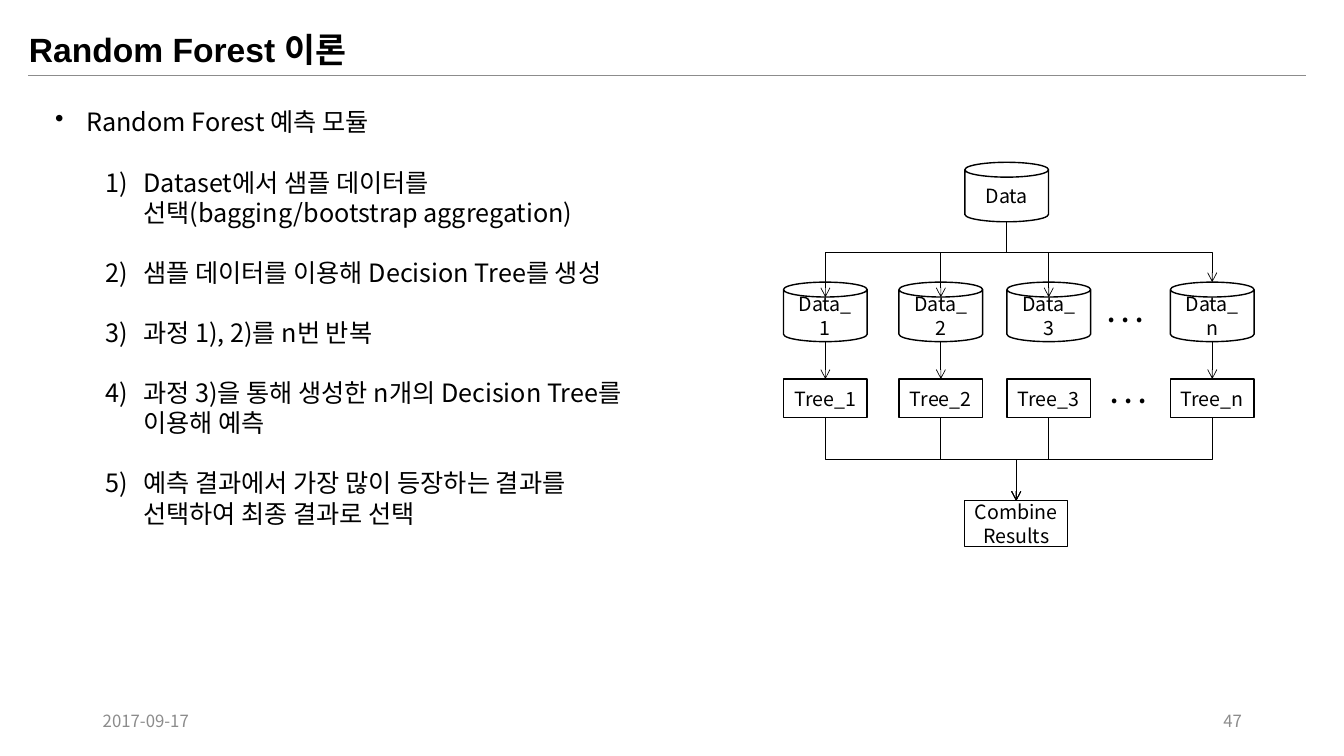
from dataclasses import dataclass

from lxml import etree
from pptx import Presentation
from pptx.dml.color import RGBColor
from pptx.enum.shapes import MSO_CONNECTOR, MSO_SHAPE
from pptx.enum.text import MSO_ANCHOR, PP_ALIGN
from pptx.oxml.ns import qn
from pptx.util import Cm, Pt

CAN, RECT = MSO_SHAPE.CAN, MSO_SHAPE.RECTANGLE
STRAIGHT, ELBOW = MSO_CONNECTOR.STRAIGHT, MSO_CONNECTOR.ELBOW
LEFT, CENTER, RIGHT = PP_ALIGN.LEFT, PP_ALIGN.CENTER, PP_ALIGN.RIGHT
TOP, MIDDLE = MSO_ANCHOR.TOP, MSO_ANCHOR.MIDDLE
SANS = "Noto Sans CJK KR"
BLACK, GRAY = "000000", "8C8C8C"

# Diagram measures in cm
NODE_W, CAN_H, TREE_H = 2.11, 1.5, 0.97
DATA_X, DATA_Y = 25.37, 4.09
CAN_Y, TREE_Y = 7.11, 9.55
LID = 0.38
SPLIT_Y, JOIN_Y = 6.37, 11.57
END_X, END_Y, END_W, END_H = 25.61, 12.62, 2.6, 1.15

STEPS = [
    "Dataset에서 샘플 데이터를 선택(bagging/bootstrap aggregation)",
    "샘플 데이터를 이용해 Decision Tree를 생성",
    "과정 1), 2)를 n번 반복",
    "과정 3)을 통해 생성한 n개의 Decision Tree를 이용해 예측",
    "예측 결과에서 가장 많이 등장하는 결과를 선택하여 최종 결과로 선택",
]


@dataclass
class Branch:
    name: str
    x: float
    arrow: bool = True
    inlet: float = CAN_Y + LID


@dataclass
class Label:
    text: str
    x: float
    y: float
    w: float
    h: float
    size: float
    color: str = BLACK
    font: str = SANS
    bold: bool = False
    align: PP_ALIGN = LEFT
    anchor: MSO_ANCHOR = TOP
    wrap: bool = True


BRANCHES = [
    Branch("1", 20.8),
    Branch("2", 23.71),
    Branch("3", 26.43, arrow=False),
    Branch("n", 30.55, inlet=CAN_Y),
]
LABELS = [
    Label("Random Forest 이론", 0.48, 0.61, 33.3, 1.27, 24, font="Arial", bold=True),
    Label(". . .", 27.66, 7.37, 1.47, 1.02, 18, bold=True, wrap=False),
    Label(". . .", 27.74, 9.4, 1.47, 1.02, 18, bold=True, wrap=False),
    Label("2017-09-17", 2.34, 17.65, 7.62, 1.02, 12, GRAY, anchor=MIDDLE),
    Label("47", 23.93, 17.65, 7.62, 1.02, 12, GRAY, align=RIGHT, anchor=MIDDLE),
]


def rgb(code: str) -> RGBColor:
    return RGBColor.from_string(code)


def style(para, size: float, color: str = BLACK, font: str = SANS, bold: bool = False) -> None:
    face = para.font
    face.size, face.bold, face.name = Pt(size), bold, font
    face.color.rgb = rgb(color)
    base = para._p.pPr.find(qn("a:defRPr"))
    etree.SubElement(base, qn("a:ea")).set("typeface", SANS)


def add_label(slide, item: Label) -> None:
    box = slide.shapes.add_textbox(Cm(item.x), Cm(item.y), Cm(item.w), Cm(item.h))
    frame = box.text_frame
    frame.word_wrap, frame.vertical_anchor = item.wrap, item.anchor
    para = frame.paragraphs[0]
    para.text, para.alignment = item.text, item.align
    style(para, item.size, item.color, item.font, item.bold)


def add_item(para, text: str, mark: str, attrs: dict, left: float, hang: float) -> None:
    """Fill a list paragraph; mark is the bullet element's tag."""
    para.text = text
    para.line_spacing = Pt(21.5)
    props = para._p.get_or_add_pPr()
    props.set("marL", str(Cm(left)))
    props.set("indent", str(-Cm(hang)))
    bullet = etree.SubElement(props, qn(mark))
    for key, value in attrs.items():
        bullet.set(key, value)
    style(para, 18)


def add_list(slide) -> None:
    box = slide.shapes.add_textbox(Cm(1.14), Cm(2.57), Cm(15.06), Cm(12.57))
    frame = box.text_frame
    frame.word_wrap = True
    add_item(frame.paragraphs[0], "Random Forest 예측 모듈", "a:buChar", {"char": "•"}, 0.79, 0.79)
    for step in STEPS:
        para = frame.add_paragraph()
        para.level = 1
        para.space_before = Pt(21.5)
        add_item(para, step, "a:buAutoNum", {"type": "arabicParenR"}, 2.22, 0.95)


def add_node(slide, kind: MSO_SHAPE, text: str, mid: float, y: float, w: float, h: float):
    """Draw an outlined node centred on mid."""
    node = slide.shapes.add_shape(kind, Cm(mid - w / 2), Cm(y), Cm(w), Cm(h))
    node.shadow.inherit = False
    node.fill.background()
    node.line.color.rgb, node.line.width = rgb(BLACK), Pt(1)
    frame = node.text_frame
    frame.word_wrap, frame.vertical_anchor = True, MIDDLE
    frame.text = text
    for para in frame.paragraphs:
        para.alignment = CENTER
        para.line_spacing = Pt(17)
        style(para, 14)
    return node


def add_line(slide, kind: MSO_CONNECTOR, x1: float, y1: float, x2: float, y2: float,
             color: str = BLACK, arrow: bool = True):
    link = slide.shapes.add_connector(kind, Cm(x1), Cm(y1), Cm(x2), Cm(y2))
    link.line.color.rgb, link.line.width = rgb(color), Pt(0.5)
    if arrow:
        tail = etree.SubElement(link.line._get_or_add_ln(), qn("a:tailEnd"))
        tail.set("type", "arrow")
    etree.SubElement(link._element.spPr, qn("a:effectLst"))
    return link


def add_elbow(slide, x1: float, y1: float, x2: float, y2: float, bar: float) -> None:
    """Go down to bar, across, then down: a quarter-turned elbow."""
    side = 1 if x2 > x1 else -1
    midx, midy = (x1 + x2) / 2, (y1 + y2) / 2
    dx, dy = abs(x2 - x1) / 2, side * (y2 - y1) / 2
    link = add_line(slide, ELBOW, midx + dy, midy - dx, midx - dy, midy + dx)
    props = link._element.spPr
    turn = 270 if side > 0 else 90
    props.find(qn("a:xfrm")).set("rot", str(turn * 60000))
    guide = etree.SubElement(props.find(qn("a:prstGeom")).find(qn("a:avLst")), qn("a:gd"))
    guide.set("name", "adj1")
    guide.set("fmla", f"val {round((bar - y1) / (y2 - y1) * 100000)}")


def add_forest(slide) -> None:
    add_node(slide, CAN, "Data", DATA_X, DATA_Y, NODE_W, CAN_H)
    add_node(slide, RECT, "Combine\nResults", END_X, END_Y, END_W, END_H)
    for part in BRANCHES:
        add_node(slide, CAN, f"Data_{part.name}", part.x, CAN_Y, NODE_W, CAN_H)
        tree = add_node(slide, RECT, f"Tree_{part.name}", part.x, TREE_Y, NODE_W, TREE_H)
        if part.arrow:
            link = add_line(slide, STRAIGHT, part.x, CAN_Y + CAN_H, part.x, TREE_Y)
            link.end_connect(tree, 0)
        add_elbow(slide, DATA_X, DATA_Y + CAN_H, part.x, part.inlet, SPLIT_Y)
        add_elbow(slide, part.x, TREE_Y + TREE_H, END_X, END_Y, JOIN_Y)


def main() -> None:
    deck = Presentation()
    deck.slide_width, deck.slide_height = Cm(33.87), Cm(19.05)
    slide = deck.slides.add_slide(deck.slide_layouts[6])
    add_line(slide, STRAIGHT, 0.71, 1.91, 32.92, 1.91, GRAY, arrow=False)
    add_list(slide)
    add_forest(slide)
    for item in LABELS:
        add_label(slide, item)
    deck.save("out.pptx")


if __name__ == "__main__":
    main()
